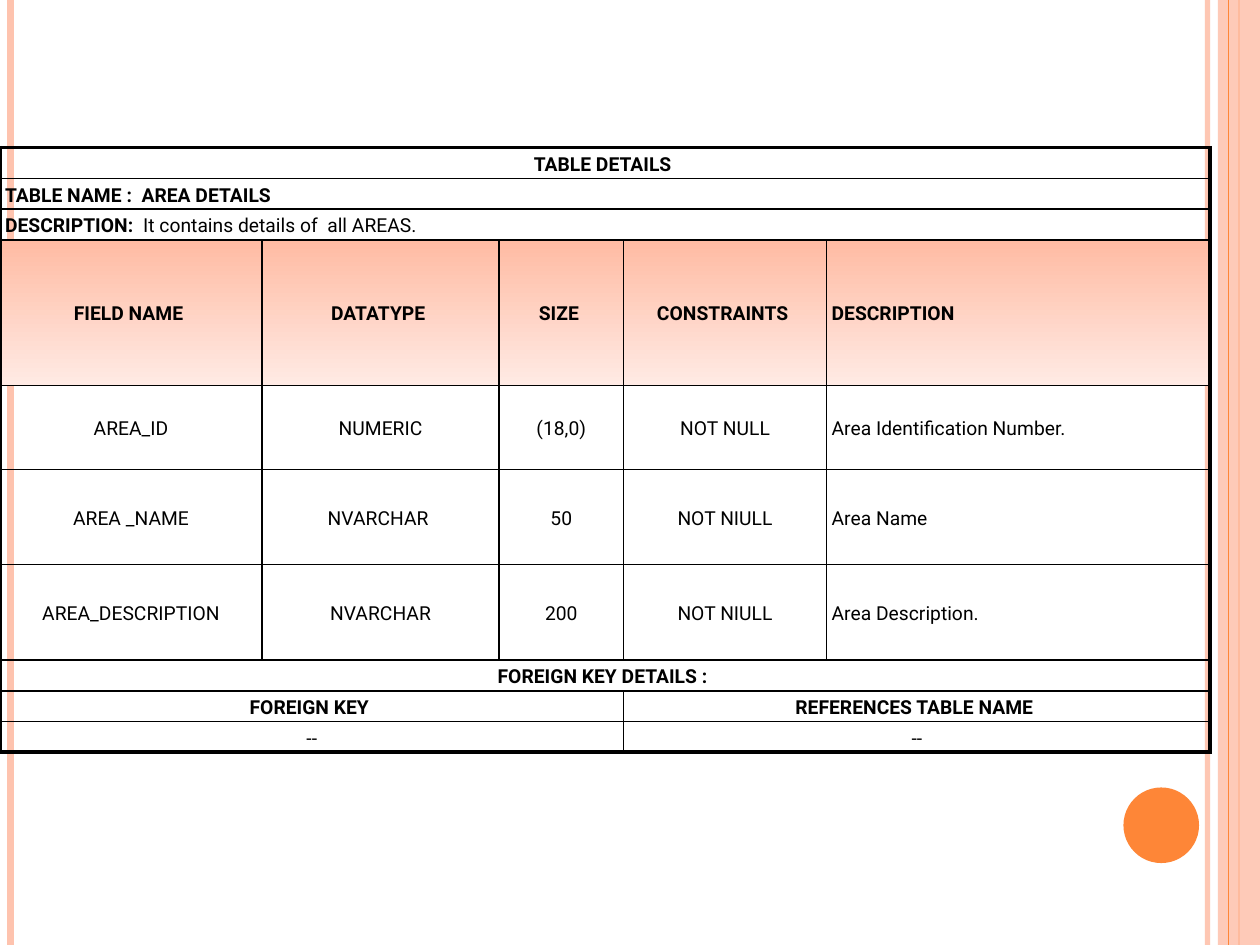
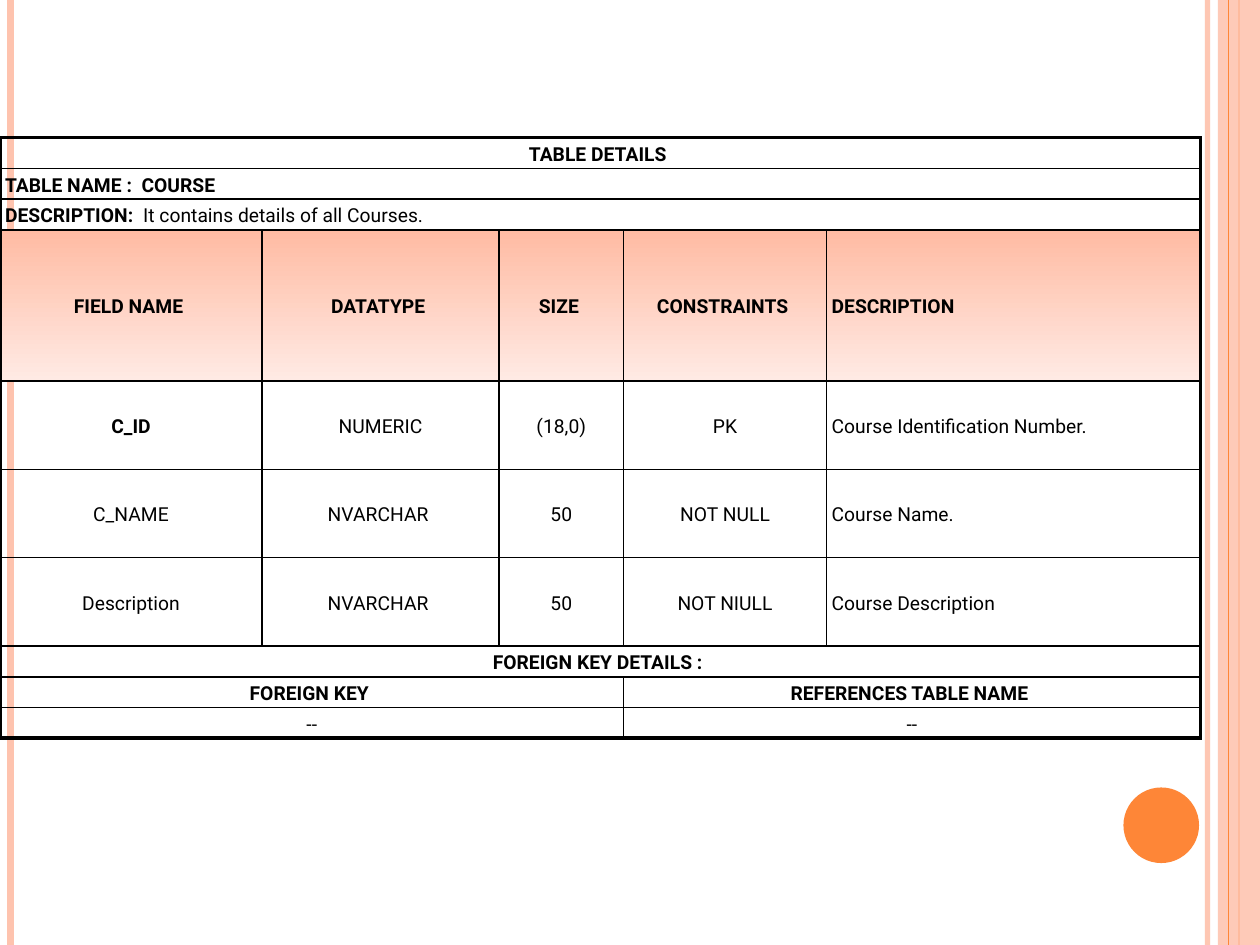
from lxml.etree import SubElement
from pptx import Presentation
from pptx.dml.color import RGBColor
from pptx.enum.shapes import MSO_CONNECTOR, MSO_SHAPE
from pptx.enum.text import MSO_ANCHOR, PP_ALIGN
from pptx.oxml.ns import qn
from pptx.util import Pt

BLACK = RGBColor(0x00, 0x00, 0x00)
PEACH = RGBColor(0xFE, 0xC3, 0xAE)
ORANGE = RGBColor(0xFE, 0x86, 0x37)
HEADER_TOP = RGBColor(0xFF, 0xBB, 0xA3)
HEADER_BOTTOM = RGBColor(0xFF, 0xEA, 0xE4)

FONT, FONT_SIZE = "Roboto", 11
SLIDE_W, SLIDE_H = 720, 540
INNER_BORDER, OUTER_BORDER = 1, 2.25
LINE_ROW_H = 17.5

FIELD_HEADINGS = ["FIELD NAME ", "DATATYPE ", "SIZE ", "CONSTRAINTS ", "DESCRIPTION"]
FIELD_WIDTHS = [149.8, 135.4, 71.2, 116]

TABLES = [
    {
        "name": "AREA DETAILS",
        "description": "It contains details of  all AREAS.",
        "fields": [
            ("AREA_ID", "NUMERIC", "(18,0)", "NOT NULL", "Area Identification Number."),
            ("AREA _NAME", "NVARCHAR ", "50", "NOT NIULL", "Area Name"),
            ("AREA_DESCRIPTION", "NVARCHAR", "200", "NOT NIULL", "Area Description."),
        ],
        "bold_field": None,
        "top": 84.4,
        "last_width": 219.2,
        "heading_height": 83.2,
        "field_heights": [48, 54.5, 54.5],
    },
    {
        "name": "COURSE",
        "description": "It contains details of all Courses.",
        "fields": [
            ("C_ID", "NUMERIC", "(18,0)", "PK", "Course Identification Number."),
            ("C_NAME", "NVARCHAR ", "50", "NOT NULL", "Course Name."),
            ("Description", "NVARCHAR ", "50", "NOT NIULL", "Course Description"),
        ],
        "bold_field": "C_ID",
        "top": 78.7,
        "last_width": 213.6,
        "heading_height": 86.4,
        "field_heights": [50.5, 50.5, 50.5],
    },
]


def set_alpha(color_parent, percent):
    color = next(color_parent.iter(qn("a:srgbClr")))
    SubElement(color, qn("a:alpha"), val=str(percent * 1000))


def add_rule(slide, x, color, width, alpha=100):
    """Draw a vertical line over the full slide height."""
    rule = slide.shapes.add_connector(MSO_CONNECTOR.STRAIGHT, Pt(x), 0, Pt(x), Pt(SLIDE_H))
    rule.line.color.rgb = color
    rule.line.width = Pt(width)
    properties = rule._element.spPr
    if alpha < 100:
        set_alpha(properties, alpha)
    SubElement(properties, qn("a:effectLst"))


def add_plain_shape(slide, preset, left, top, width, height, color):
    shape = slide.shapes.add_shape(preset, Pt(left), Pt(top), Pt(width), Pt(height))
    shape.shadow.inherit = False
    shape.fill.solid()
    shape.fill.fore_color.rgb = color
    shape.line.fill.background()
    return shape


def add_frame(slide):
    """Add the bands and the circle that every slide carries."""
    add_rule(slide, 690, PEACH, 3, alpha=93)
    add_rule(slide, 6, PEACH, 4.5)
    add_rule(slide, 708, ORANGE, 1.5)
    band = add_plain_shape(slide, MSO_SHAPE.RECTANGLE, 696, 0, 24, SLIDE_H, PEACH)
    set_alpha(band._element.spPr, 87)
    add_rule(slide, 702, ORANGE, 0.75)
    add_plain_shape(slide, MSO_SHAPE.OVAL, 642, 450, 43.2, 43.2, ORANGE)


def table_rows(details):
    """Return rows as (height, cells); a cell is (runs, span, centred), a run (text, bold)."""
    last = len(FIELD_HEADINGS) - 1

    def full(*runs, centred=False):
        return LINE_ROW_H, [(runs, last + 1, centred)]

    def halves(left, right, bold):
        return LINE_ROW_H, [([(left, bold)], 3, True), ([(right, bold)], 2, True)]

    def fields(height, texts, bold_texts):
        return height, [([(text, text in bold_texts)], 1, column < last)
                        for column, text in enumerate(texts)]

    return [
        full(("TABLE DETAILS ", True), centred=True),
        full((f"TABLE NAME :  {details['name']}", True)),
        full(("DESCRIPTION:  ", True), (details["description"], False)),
        fields(details["heading_height"], FIELD_HEADINGS, FIELD_HEADINGS),
        *(fields(height, texts, [details["bold_field"]])
          for height, texts in zip(details["field_heights"], details["fields"])),
        full(("FOREIGN KEY DETAILS : ", True), centred=True),
        halves("FOREIGN KEY ", "REFERENCES TABLE NAME ", True),
        halves("--", "--", False),
    ]


def fill_cell(cell, is_heading):
    if not is_heading:
        cell.fill.background()
        return
    cell.fill.gradient()
    cell.fill.gradient_angle = 270
    for stop, color in zip(cell.fill.gradient_stops, (HEADER_TOP, HEADER_BOTTOM)):
        stop.color.rgb = color


def set_borders(cell, outer_sides):
    properties = cell._tc.get_or_add_tcPr()
    for index, side in enumerate("LRTB"):
        width = OUTER_BORDER if side in outer_sides else INNER_BORDER
        border = properties.makeelement(qn(f"a:ln{side}"), {"w": str(Pt(width))})
        color = SubElement(SubElement(border, qn("a:solidFill")), qn("a:srgbClr"))
        color.set("val", str(BLACK))
        properties.insert(index, border)


def write_cell(cell, runs, centred):
    cell.vertical_anchor = MSO_ANCHOR.MIDDLE
    cell.margin_left = cell.margin_right = Pt(2.9)
    cell.margin_top = cell.margin_bottom = Pt(1.4)
    paragraph = cell.text_frame.paragraphs[0]
    paragraph.alignment = PP_ALIGN.CENTER if centred else PP_ALIGN.LEFT
    paragraph.line_spacing = 1.15
    for text, bold in runs:
        run = paragraph.add_run()
        run.text = text
        run.font.name = FONT
        run.font.size = Pt(FONT_SIZE)
        run.font.bold = bold
        run.font.color.rgb = BLACK


def add_details_table(slide, details):
    rows = table_rows(details)
    widths = FIELD_WIDTHS + [details["last_width"]]
    table = slide.shapes.add_table(
        len(rows), len(widths), 0, Pt(details["top"]),
        Pt(sum(widths)), Pt(sum(height for height, _ in rows))).table
    table.first_row = table.horz_banding = False
    for column, width in zip(table.columns, widths):
        column.width = Pt(width)

    for row, (height, cells) in enumerate(rows):
        table.rows[row].height = Pt(height)
        start = 0
        for runs, span, centred in cells:
            end = start + span - 1
            cell = table.cell(row, start)
            if span > 1:
                cell.merge(table.cell(row, end))
            write_cell(cell, runs, centred)
            edges = {"L": start == 0, "R": end == len(widths) - 1,
                     "T": row == 0, "B": row == len(rows) - 1}
            outer_sides = [side for side, is_outer in edges.items() if is_outer]
            for column in range(start, end + 1):
                part = table.cell(row, column)
                fill_cell(part, runs[0][0] in FIELD_HEADINGS)
                set_borders(part, outer_sides)
            start = end + 1


def main():
    deck = Presentation()
    deck.slide_width, deck.slide_height = Pt(SLIDE_W), Pt(SLIDE_H)
    blank_layout = deck.slide_layouts[6]
    for details in TABLES:
        slide = deck.slides.add_slide(blank_layout)
        add_frame(slide)
        add_details_table(slide, details)
    deck.save("out.pptx")


if __name__ == "__main__":
    main()
